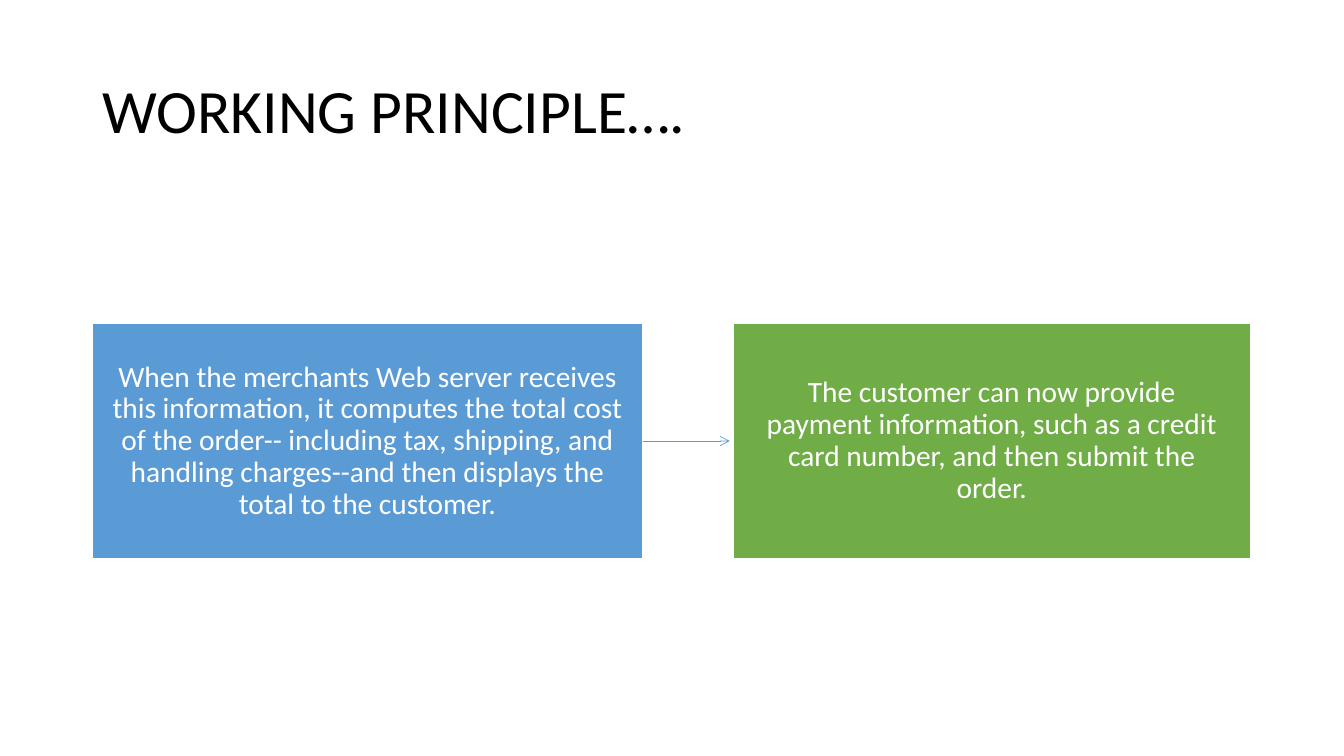
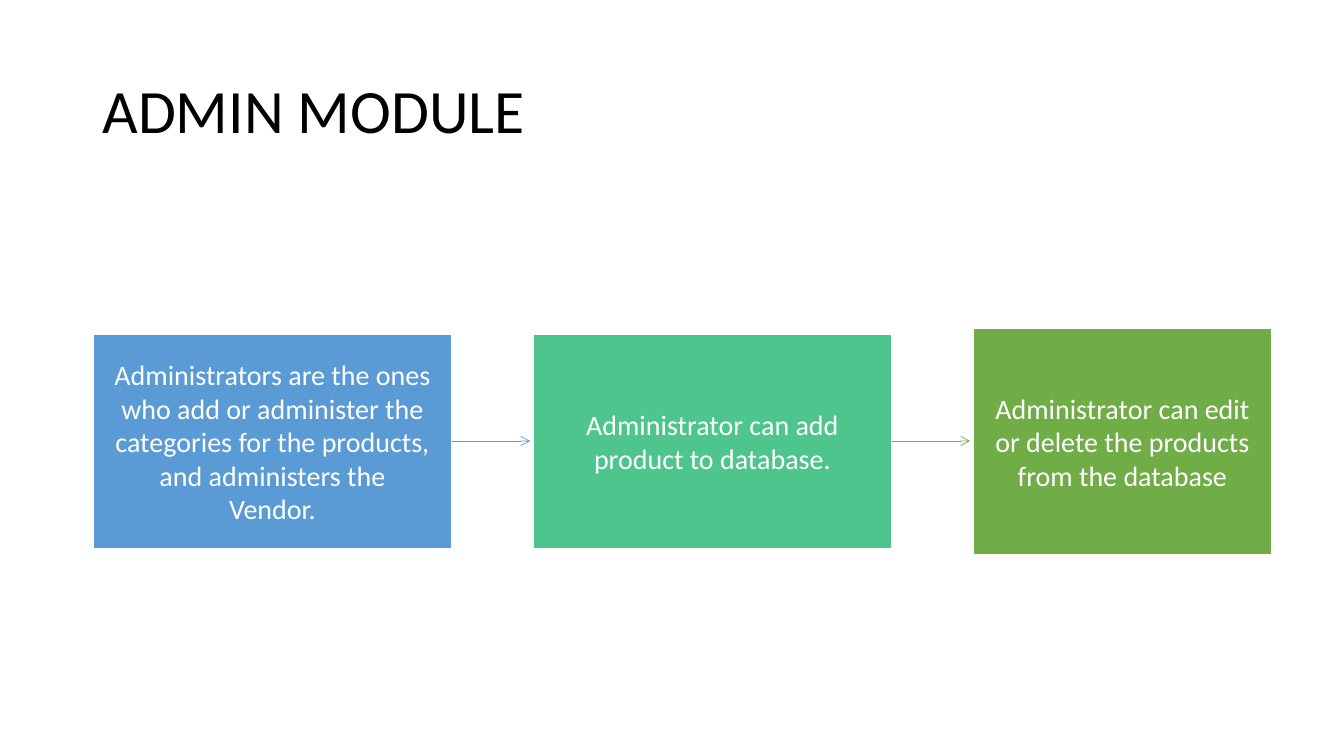
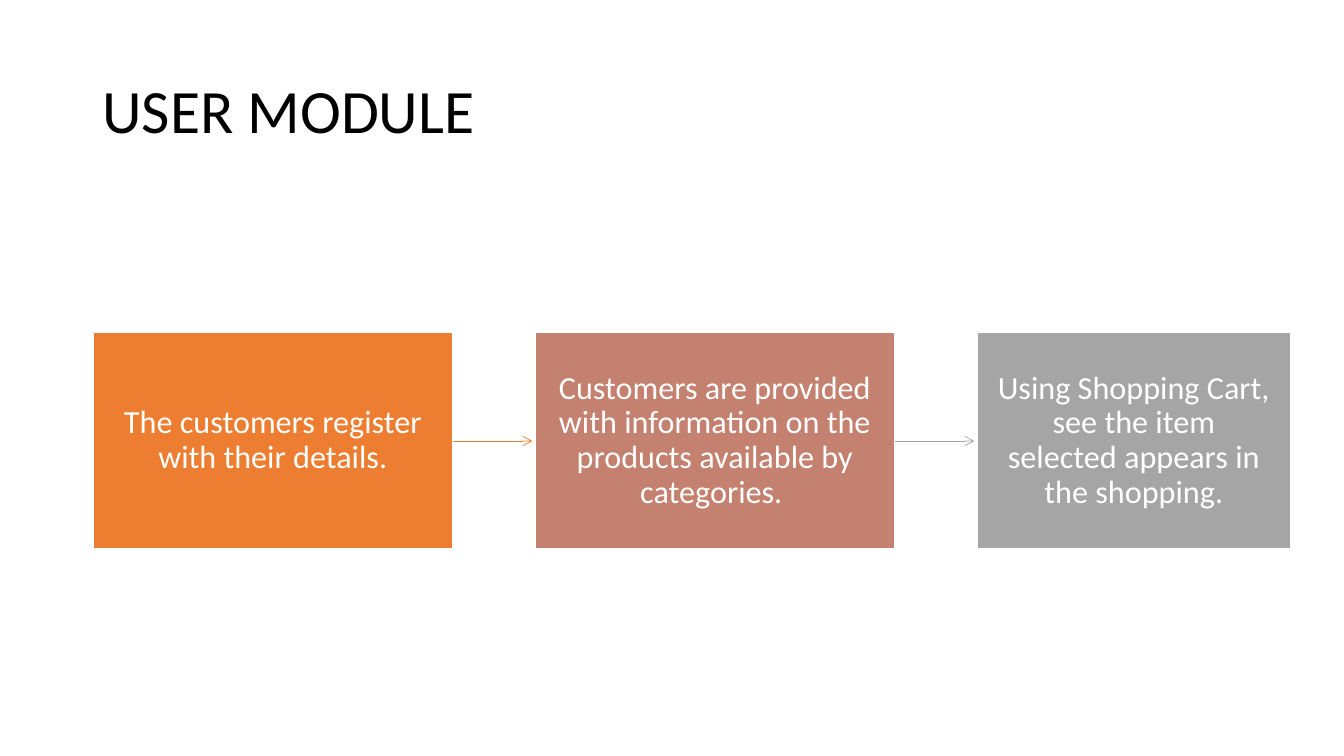
from lxml import etree
from pptx import Presentation
from pptx.dml.color import RGBColor as RGB
from pptx.enum.shapes import MSO_CONNECTOR as Connector, MSO_SHAPE as Shape
from pptx.enum.text import MSO_ANCHOR as Anchor, MSO_AUTO_SIZE as AutoSize, PP_ALIGN as Align
from pptx.oxml.ns import qn
from pptx.util import Pt

PX = 9525
FONT = "Calibri"
COLORS = {
    "black": "000000",
    "white": "FFFFFF",
    "blue": "5B9BD5",
    "mint": "4DC58D",
    "green": "70AD47",
    "orange": "ED7D31",
    "clay": "C48170",
    "gray": "A5A5A5",
}
TITLE_AREA = (88, 39, 1104, 139)
FLOW_MIDDLE, ARROW_CLEARANCE = 420, 3

FLOWS = [
    {
        "title": "WORKING PRINCIPLE….",
        "size": 21, "spacing": 0.9, "left": 88, "gap": 86, "insets": (19, 19),
        "arrows": ["blue"],
        "steps": [
            ("When the merchants Web server receives this information, it computes "
             "the total cost of the order-- including tax, shipping, and handling "
             "charges--and then displays the total to the customer.", "blue", 524, 224),
            ("The customer can now provide payment information, such as a credit "
             "card number, and then submit the order.", "green", 493, 224),
        ],
    },
    {
        "title": "ADMIN MODULE",
        "size": 20, "spacing": 1.0, "left": 89, "gap": 78, "insets": (16, 17),
        "arrows": ["blue", "green"],
        "steps": [
            ("Administrators are the ones who add or administer the categories for "
             "the products, and administers the\vVendor.", "blue", 341, 205),
            ("Administrator can add product to database.", "mint", 341, 205),
            ("Administrator can edit or delete the products from the database",
             "green", 284, 215),
        ],
    },
    {
        "title": "USER MODULE",
        "size": 23, "spacing": 0.9, "left": 89, "gap": 79, "insets": (17, 17),
        "arrows": ["orange", "gray"],
        "steps": [
            ("The customers register with their details.", "orange", 342, 206),
            ("Customers are provided with information on the products available by "
             "categories. ", "clay", 342, 206),
            ("Using Shopping Cart, see the item selected appears in the shopping.",
             "gray", 298, 206),
        ],
    },
]


def px(*lengths):
    return [length * PX for length in lengths]


def rgb(name):
    return RGB.from_string(COLORS[name])


def write(frame, text, size, color, align, spacing):
    frame.text = text
    frame.word_wrap = True
    frame.auto_size = AutoSize.NONE
    frame.vertical_anchor = Anchor.MIDDLE
    paragraph = frame.paragraphs[0]
    paragraph.alignment = align
    paragraph.line_spacing = spacing
    for run in paragraph.runs:
        run.font.name = FONT
        run.font.size = Pt(size)
        run.font.color.rgb = rgb(color)


def add_title(slide, text):
    title = slide.shapes.title
    title.left, title.top, title.width, title.height = px(*TITLE_AREA)
    write(title.text_frame, text, 44, "black", Align.LEFT, 0.9)


def add_arrow(slide, start, end, color):
    arrow = slide.shapes.add_connector(
        Connector.STRAIGHT, *px(start, FLOW_MIDDLE, end, FLOW_MIDDLE))
    arrow.line.color.rgb = rgb(color)
    arrow.line.width = Pt(0.5)
    etree.SubElement(arrow.line._get_or_add_ln(), qn("a:tailEnd"), type="arrow")
    etree.SubElement(arrow._element.spPr, qn("a:effectLst"))


def add_step(slide, left, step, flow):
    text, color, width, height = step
    box = slide.shapes.add_shape(
        Shape.RECTANGLE, *px(left, FLOW_MIDDLE - height // 2, width, height))
    box.shadow.inherit = False
    box.fill.solid()
    box.fill.fore_color.rgb = rgb(color)
    box.line.color.rgb = rgb("white")
    box.line.width = Pt(1)
    frame = box.text_frame
    side, edge = px(*flow["insets"])
    frame.margin_left = frame.margin_right = side
    frame.margin_top = frame.margin_bottom = edge
    write(frame, text, flow["size"], "white", Align.CENTER, flow["spacing"])


def add_flow(slide, flow):
    left = flow["left"]
    for index, step in enumerate(flow["steps"]):
        right = left + step[2]
        following = right + flow["gap"]
        if index < len(flow["arrows"]):
            add_arrow(slide, right, following - ARROW_CLEARANCE, flow["arrows"][index])
        add_step(slide, left, step, flow)
        left = following


def main():
    deck = Presentation()
    deck.slide_width, deck.slide_height = px(1280, 720)
    title_only = deck.slide_layouts[5]
    for flow in FLOWS:
        slide = deck.slides.add_slide(title_only)
        add_title(slide, flow["title"])
        add_flow(slide, flow)
    deck.save("out.pptx")


if __name__ == "__main__":
    main()
